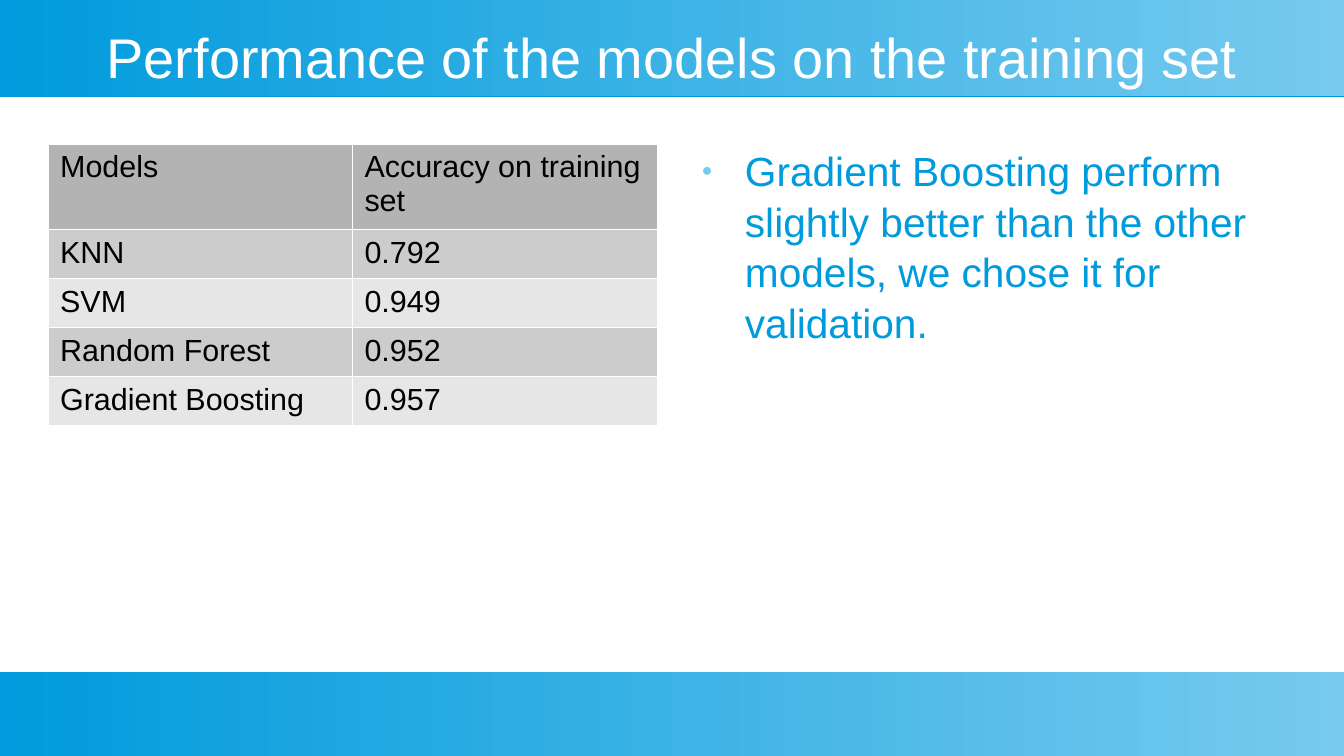
from lxml import etree
from pptx import Presentation, util as u
from pptx.dml.color import RGBColor
from pptx.enum import shapes, text
from pptx.oxml import parse_xml
from pptx.oxml.ns import nsdecls, qn

WIDTH, HEIGHT = 28, 15.75
MARGIN, BODY_TOP, COLUMN_WIDTH = 1, 3, 12.68
BLUE, LIGHT_BLUE, WHITE, BLACK = "009BDD", "77CAEE", "FFFFFF", "000000"
HEADER_GREY, ROW_GREYS = "B3B3B3", ("CCCCCC", "E6E6E6")

ACCURACIES = [
    ("Models", "Accuracy on training set"),
    ("KNN", "0.792"),
    ("SVM", "0.949"),
    ("Random Forest", "0.952"),
    ("Gradient Boosting", "0.957"),
]


def rgb(color):
    return RGBColor.from_string(color)


class Deck:
    font = "Arial"

    def __init__(self):
        self.prs = Presentation()
        self.prs.slide_width, self.prs.slide_height = u.Cm(WIDTH), u.Cm(HEIGHT)
        self.s = self.prs.slides.add_slide(self.prs.slide_layouts[6])

    def style(self, p, size, color):
        for r in p.runs:
            r.font.name, r.font.size = self.font, u.Pt(size)
            r.font.color.rgb = rgb(color)

    def band(self, top, height):
        """Full-width gradient strip with a thin blue shadow below it."""
        sp = self.s.shapes.add_shape(
            shapes.MSO_SHAPE.RECTANGLE, 0, u.Cm(top), u.Cm(WIDTH), u.Cm(height))
        sp.line.fill.background()
        sp.fill.gradient()
        sp.fill.gradient_angle = 0
        for stop, color, position in zip(sp.fill.gradient_stops, (BLUE, LIGHT_BLUE), (0, 1)):
            stop.color.rgb, stop.position = rgb(color), position
        sp.shadow.inherit = False
        effects = sp.element.spPr.find(qn("a:effectLst"))
        effects.append(parse_xml(
            f'<a:outerShdw {nsdecls("a")} blurRad="0" dist="{u.Pt(0.9)}" dir="5400000" '
            f'rotWithShape="0"><a:srgbClr val="{BLUE}"/></a:outerShdw>'))

    def text(self, content, left, top, width, height, size, color,
             align=text.PP_ALIGN.LEFT, anchor=text.MSO_ANCHOR.TOP):
        sp = self.s.shapes.add_textbox(*map(u.Cm, (left, top, width, height)))
        tf = sp.text_frame
        tf.word_wrap, tf.vertical_anchor = True, anchor
        tf.margin_left = tf.margin_top = tf.margin_right = tf.margin_bottom = 0
        tf.text = content
        p = tf.paragraphs[0]
        p.alignment = align
        self.style(p, size, color)
        return p

    def bullet(self, p, color, percent, left, hanging):
        pPr = p._p.get_or_add_pPr()
        pPr.set("marL", str(u.Cm(left)))
        pPr.set("indent", str(-u.Cm(hanging)))
        bullet_color = etree.SubElement(pPr, qn("a:buClr"))
        etree.SubElement(bullet_color, qn("a:srgbClr"), val=color)
        etree.SubElement(pPr, qn("a:buSzPct"), val=str(percent * 1000))
        etree.SubElement(pPr, qn("a:buFont"), typeface=self.font)
        etree.SubElement(pPr, qn("a:buChar"), char="●")

    def cell_borders(self, cell, color, width):
        tcPr = cell._tc.get_or_add_tcPr()
        for i, side in enumerate(("lnL", "lnR", "lnT", "lnB")):
            tcPr.insert(i, parse_xml(
                f'<a:{side} {nsdecls("a")} w="{u.Pt(width)}"><a:solidFill>'
                f'<a:srgbClr val="{color}"/></a:solidFill></a:{side}>'))

    def table(self, rows, left, top, width, header_height, row_height, size):
        heights = [header_height] + [row_height] * (len(rows) - 1)
        frame = self.s.shapes.add_table(
            len(rows), len(rows[0]), *map(u.Cm, (left, top, width, sum(heights))))
        table = frame.table
        for i, (values, height) in enumerate(zip(rows, heights)):
            table.rows[i].height = u.Cm(height)
            fill = ROW_GREYS[(i - 1) % 2] if i else HEADER_GREY
            for j, value in enumerate(values):
                cell = table.cell(i, j)
                cell.text = value
                cell.fill.solid()
                cell.fill.fore_color.rgb = rgb(fill)
                p = cell.text_frame.paragraphs[0]
                self.style(p, size, BLACK)
                for r in p.runs:
                    r.font.bold = False
                self.cell_borders(cell, WHITE, 0.06)


def main():
    deck = Deck()
    deck.band(0, 2)
    deck.band(14, HEIGHT - 14)
    deck.text("Performance of the models on the training set",
              MARGIN, 0.5, WIDTH - 2 * MARGIN, 1.32, 33, WHITE,
              text.PP_ALIGN.CENTER, text.MSO_ANCHOR.MIDDLE)
    deck.table(ACCURACIES, MARGIN, BODY_TOP, COLUMN_WIDTH, 1.75, 1.02, 18)
    p = deck.text("Gradient Boosting perform slightly better than the other models, "
                  "we chose it for validation.",
                  WIDTH - MARGIN - COLUMN_WIDTH, BODY_TOP, COLUMN_WIDTH, 10, 24, BLUE)
    p.line_spacing = 1.04
    deck.bullet(p, LIGHT_BLUE, 45, 1.2, 0.9)
    deck.prs.save("out.pptx")


if __name__ == "__main__":
    main()
